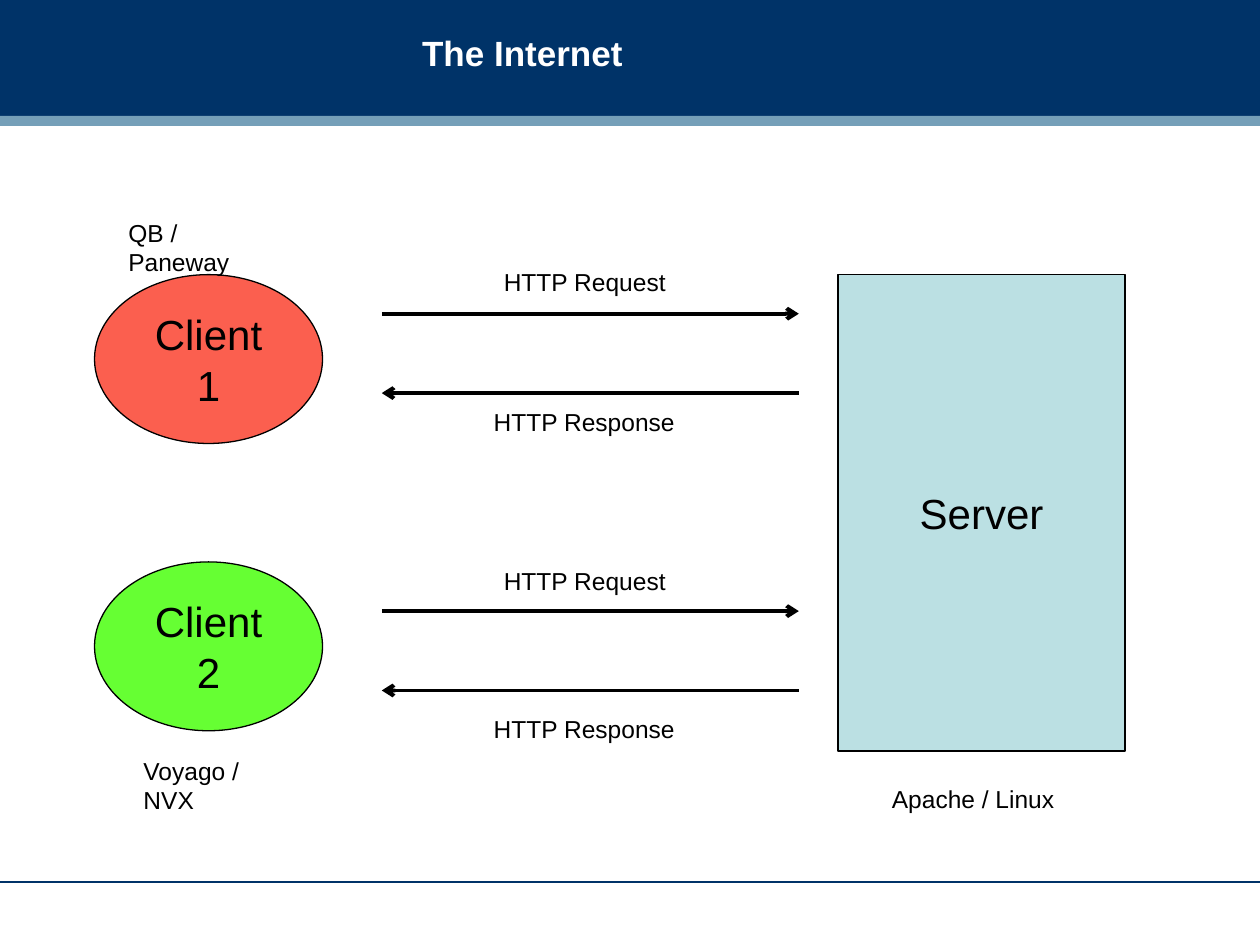
from pptx import Presentation
from pptx.dml.color import RGBColor
from pptx.enum.shapes import MSO_CONNECTOR, MSO_SHAPE
from pptx.enum.text import MSO_ANCHOR, PP_ALIGN
from pptx.oxml.ns import qn
from pptx.util import Inches, Pt
from lxml import etree

RECT, OVAL = MSO_SHAPE.RECTANGLE, MSO_SHAPE.OVAL
STRAIGHT = MSO_CONNECTOR.STRAIGHT
MIDDLE, TOP = MSO_ANCHOR.MIDDLE, MSO_ANCHOR.TOP
LEFT, CENTER = PP_ALIGN.LEFT, PP_ALIGN.CENTER

THEME = {
    "font": "Arial",
    "title_size": 20, "node_size": 24, "label_size": 14,
    "navy": "003368", "steel": "759FB8", "white": "FFFFFF", "black": "000000",
    "red": "FB5F4F", "green": "66FF33", "teal": "BBE0E3",
}

# Content: positions in inches
TITLE = "The Internet"
BANDS = [(0, 0.92, "navy"), (0.92, 0.08, "steel")]  # top, height, colour
NODES = [  # text, shape, colour, (left, top, width, height)
    ("Server", RECT, "teal", (6.65, 2.18, 2.28, 3.78)),
    ("Client 1", OVAL, "red", (0.75, 2.18, 1.81, 1.34)),
    ("Client 2", OVAL, "green", (0.75, 4.46, 1.81, 1.34)),
]
PLATFORMS = [  # text, left, top, width
    ("QB / Paneway", 0.92, 1.68, 1.34),
    ("Voyago / NVX", 1.04, 5.95, 1.28),
    ("Apache / Linux", 6.98, 6.17, 1.49),
]
EXCHANGES = [  # request arrow, request label, response label (tops)
    (2.49, 2.07, 3.18),
    (4.85, 4.44, 5.62),
]
ARROW_LEFT, ARROW_RIGHT, RESPONSE_DROP = 3.03, 6.34, 0.63
LABEL_HEIGHT = 0.34


def color(name):
    return RGBColor.from_string(THEME[name])


def write(shape, text, size, ink="black", align=LEFT, anchor=TOP, bold=False):
    tf = shape.text_frame
    tf.vertical_anchor = anchor
    p = tf.paragraphs[0]
    p.alignment = align
    r = p.add_run()
    r.text = text
    r.font.name, r.font.size, r.font.bold = THEME["font"], Pt(THEME[size]), bold
    r.font.color.rgb = color(ink)


def add_box(s, kind, box, fill, line=None):
    sp = s.shapes.add_shape(kind, *map(Inches, box))
    sp.shadow.inherit = False
    sp.fill.solid()
    sp.fill.fore_color.rgb = color(fill)
    if line:
        sp.line.color.rgb = color(line)
        sp.line.width = Pt(0.75)
    else:
        sp.line.fill.background()
    return sp


def add_line(s, x1, x2, y, ink, width, arrow=False):
    line = s.shapes.add_connector(STRAIGHT, *map(Inches, (x1, y, x2, y)))
    line.line.color.rgb = color(ink)
    line.line.width = Pt(width)
    if arrow:
        etree.SubElement(line.line._get_or_add_ln(), qn("a:tailEnd"), type="arrow")
    etree.SubElement(line._element.spPr, qn("a:effectLst"))


def add_label(s, text, left, top, width):
    sp = s.shapes.add_textbox(*map(Inches, (left, top, width, LABEL_HEIGHT)))
    sp.text_frame.word_wrap = False
    write(sp, text, "label_size")


def main():
    prs = Presentation()
    prs.slide_width, prs.slide_height = Inches(10), Inches(7.5)
    s = prs.slides.add_slide(prs.slide_layouts[5])

    # Header bands and footer rule
    for top, height, fill in BANDS:
        add_box(s, RECT, (0, top, 10, height), fill)
    add_line(s, 0, 10, 7, "navy", 0.75)

    # Title, raised above the header band
    title = s.shapes.title
    title.left, title.top, title.width, title.height = map(Inches, (3.25, 0, 6.58, 0.83))
    write(title, TITLE, "title_size", "white", anchor=MIDDLE, bold=True)
    s.shapes._spTree.append(title._element)

    # Server and clients
    for text, kind, fill, box in NODES:
        sp = add_box(s, kind, box, fill, "black")
        write(sp, text, "node_size", align=CENTER, anchor=MIDDLE)

    # Request and response arrows with their labels
    for y, request_top, response_top in EXCHANGES:
        add_line(s, ARROW_LEFT, ARROW_RIGHT, y, "black", 2.25, arrow=True)
        add_line(s, ARROW_RIGHT, ARROW_LEFT, y + RESPONSE_DROP, "black", 2.25, arrow=True)
        add_label(s, "HTTP Request", 3.9, request_top, 1.49)
        add_label(s, "HTTP Response", 3.82, response_top, 1.64)

    # Platform captions
    for caption in PLATFORMS:
        add_label(s, *caption)

    prs.save("out.pptx")


if __name__ == "__main__":
    main()
